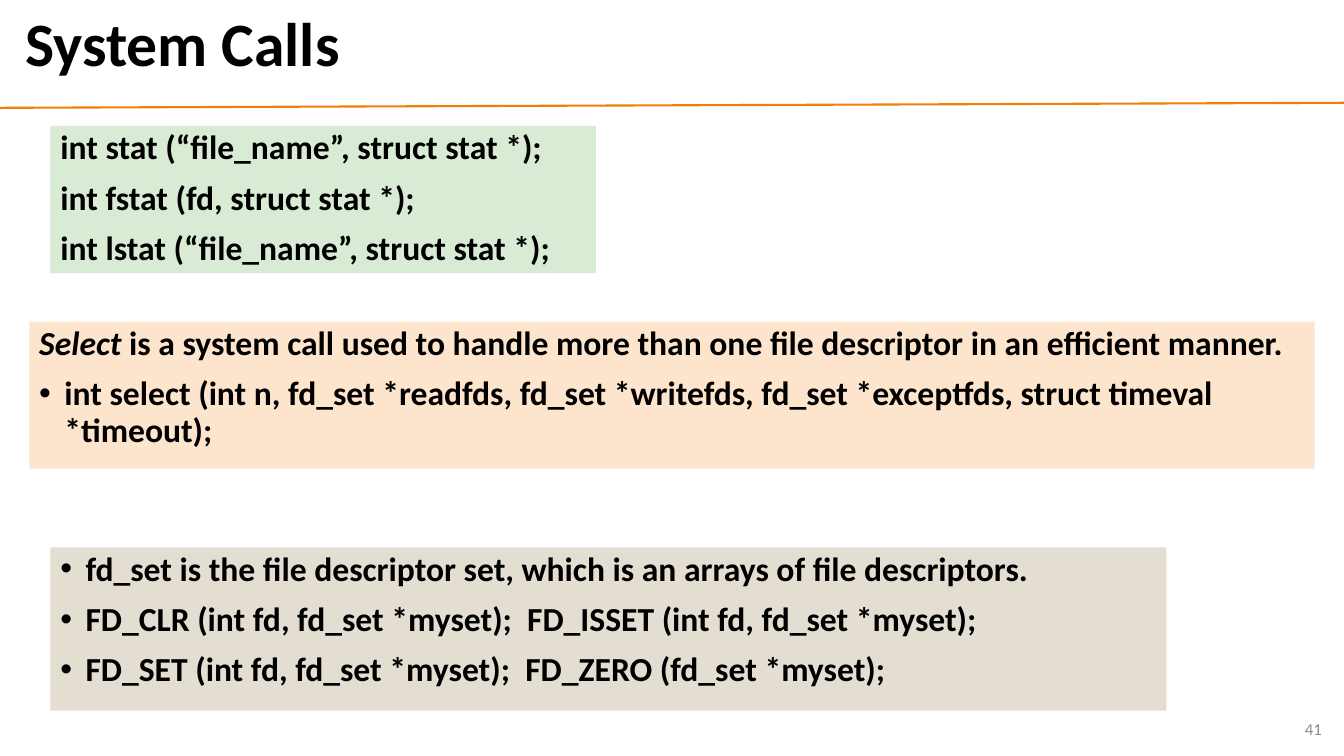
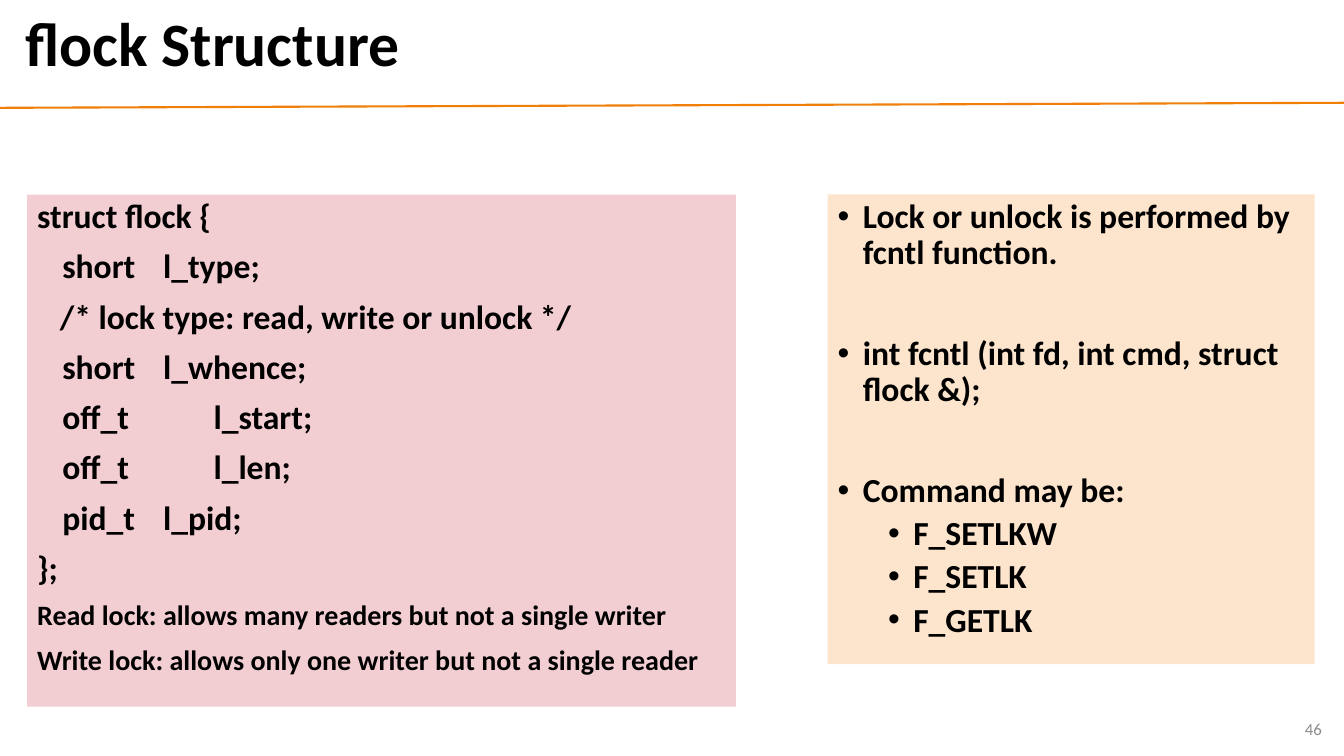
from lxml import etree
from pptx import Presentation
from pptx.dml.color import RGBColor
from pptx.enum.shapes import MSO_CONNECTOR
from pptx.enum.text import MSO_ANCHOR, MSO_AUTO_SIZE, PP_ALIGN
from pptx.oxml.ns import qn
from pptx.util import Inches, Pt

BLACK, GRAY, ORANGE = "000000", "8C8C8C", "F07F09"
GREEN, PEACH, SAND, PINK = "D9EAD5", "FDE5CD", "E3DED1", "F2CED2"


def rgb(value):
    return RGBColor.from_string(value)


class Deck:
    font = "Calibri"
    title_size, body_size, note_size, number_size = 44, 24, 20, 12
    indent = 0.25
    line_spacing = 0.9

    def __init__(self):
        self.prs = Presentation()
        self.prs.slide_width = Inches(13.33)
        self.prs.slide_height = Inches(7.5)
        self.s = None

    def slide(self, title, number):
        self.s = self.prs.slides.add_slide(self.prs.slide_layouts[5])
        self.rule()
        self.title(title)
        self.number(number)

    def rule(self):
        line = self.s.shapes.add_connector(
            MSO_CONNECTOR.STRAIGHT, 0, Inches(1.07), Inches(13.33), Inches(1.02))
        line.line.color.rgb = rgb(ORANGE)
        line.line.width = Pt(1.5)
        etree.SubElement(line._element.spPr, qn("a:effectLst"))

    def title(self, text):
        sp = self.s.shapes.title
        sp.left, sp.top = Inches(0.15), Inches(0.05)
        sp.width, sp.height = Inches(12.89), Inches(0.83)
        tf = sp.text_frame
        tf.auto_size = MSO_AUTO_SIZE.NONE
        tf.vertical_anchor = MSO_ANCHOR.MIDDLE
        p = tf.paragraphs[0]
        p.alignment = PP_ALIGN.LEFT
        p.line_spacing = self.line_spacing
        self.run(p, text, self.title_size)

    def number(self, number):
        tf = self.box(10.21, 7.03, 3, 0.4)
        tf.vertical_anchor = MSO_ANCHOR.MIDDLE
        p = tf.paragraphs[0]
        p.alignment = PP_ALIGN.RIGHT
        self.run(p, str(number), self.number_size, GRAY, bold=False)

    def box(self, left, top, width, height, fill=None):
        sp = self.s.shapes.add_textbox(
            Inches(left), Inches(top), Inches(width), Inches(height))
        if fill:
            sp.fill.solid()
            sp.fill.fore_color.rgb = rgb(fill)
        tf = sp.text_frame
        tf.word_wrap = True
        return tf

    def run(self, p, text, size, color=BLACK, bold=True, italic=False):
        r = p.add_run()
        r.text = text
        r.font.name = self.font
        r.font.size = Pt(size)
        r.font.bold = bold
        r.font.italic = italic
        r.font.color.rgb = rgb(color)

    def para(self, tf, text, size=body_size, before=10, level=0, bullet=False, italic=False):
        first = not tf.text
        p = tf.paragraphs[0] if first else tf.add_paragraph()
        p.level = level
        p.line_spacing = self.line_spacing
        p.space_before = Pt(0 if first else before)
        pPr = p._p.get_or_add_pPr()
        pPr.set("marL", str(Inches(self.indent + 0.5 * level)))
        pPr.set("indent", str(-Inches(self.indent)))
        if bullet:
            etree.SubElement(pPr, qn("a:buFont"), typeface="Arial")
            etree.SubElement(pPr, qn("a:buChar"), char="•")
        self.run(p, text, size, italic=italic)
        return p

    def paras(self, tf, lines, **style):
        for line in lines:
            self.para(tf, line, **style)


def system_calls(deck):
    deck.slide("System Calls", 41)

    stat = deck.box(0.5, 1.25, 5.41, 1.46, GREEN)
    deck.paras(stat, [
        "int stat (“file_name”, struct stat *);",
        "int fstat (fd, struct stat *);",
        "int lstat (“file_name”, struct stat *);",
    ])

    select = deck.box(0.29, 3.19, 12.75, 1.46, PEACH)
    p = deck.para(select, "Select ", italic=True)
    deck.run(p, "is a system call used to handle more than one file descriptor "
                "in an efficient manner.", deck.body_size)
    deck.para(select, "int select (int n, fd_set *readfds, fd_set *writefds, "
                      "fd_set *exceptfds, struct timeval *timeout);", bullet=True)

    fd_set = deck.box(0.5, 5.43, 11.07, 1.62, SAND)
    deck.paras(fd_set, [
        "fd_set is the file descriptor set, which is an arrays of file descriptors.",
        "FD_CLR (int fd, fd_set *myset);  FD_ISSET (int fd, fd_set *myset);",
        "FD_SET (int fd, fd_set *myset);  FD_ZERO (fd_set *myset);",
    ], bullet=True)


def flock_structure(deck):
    deck.slide("flock Structure", 46)

    struct = deck.box(0.27, 1.93, 7.03, 5.08, PINK)
    deck.paras(struct, [
        "struct flock {",
        "\tshort \tl_type;",
        "   /* lock type: read, write or unlock */",
        "\tshort \tl_whence;",
        "\toff_t \t\tl_start;",
        "\toff_t \t\tl_len;",
        "\tpid_t \tl_pid;",
        "};",
    ])
    deck.paras(struct, [
        "Read lock: allows many readers but not a single writer",
        "Write lock: allows only one writer but not a single reader",
    ], size=deck.note_size)

    usage = deck.box(8.21, 1.93, 4.83, 4.66, PEACH)
    deck.paras(usage, [
        "Lock or unlock is performed by fcntl function.",
        "int fcntl (int fd, int cmd, struct flock &);",
        "Command may be:",
    ], before=46, bullet=True)
    deck.paras(usage, ["F_SETLKW", "F_SETLK", "F_GETLK"], before=5, level=1, bullet=True)


def main():
    deck = Deck()
    system_calls(deck)
    flock_structure(deck)
    deck.prs.save("out.pptx")


if __name__ == "__main__":
    main()
